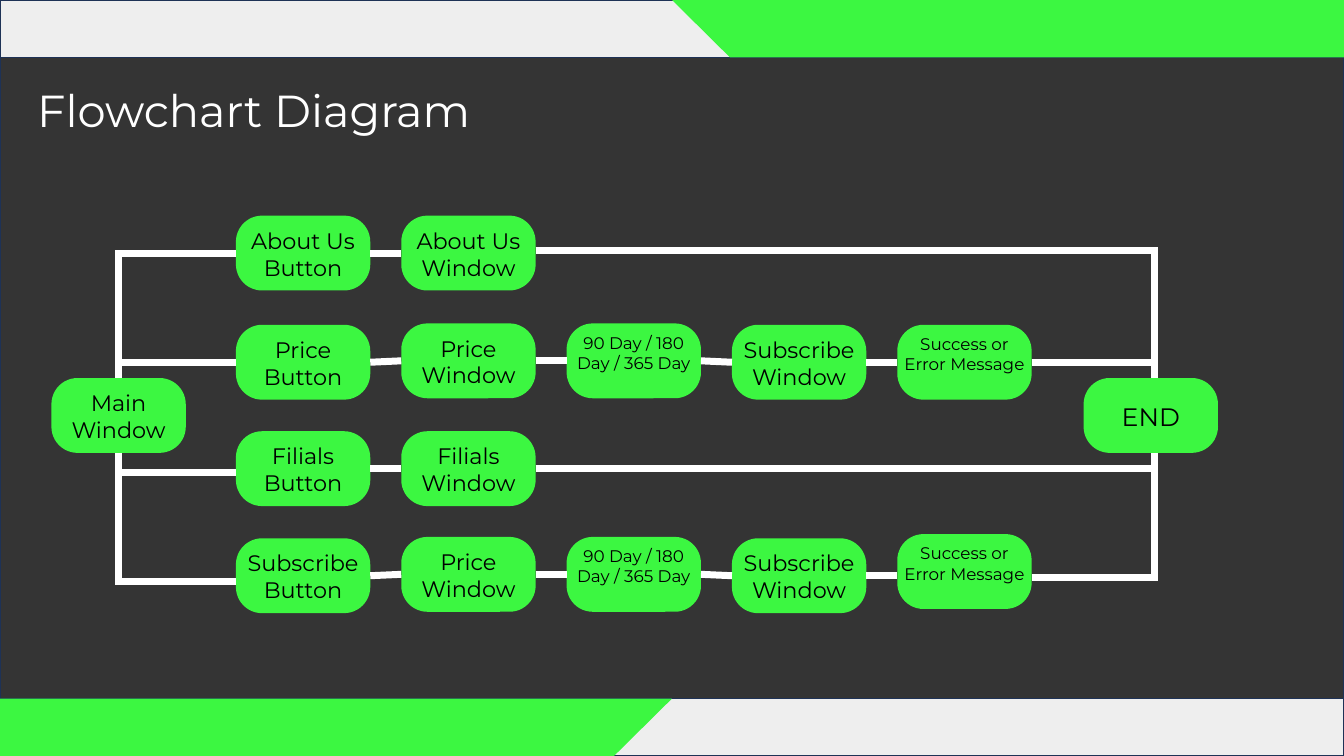
"""Build the flowchart slide of the subscription app."""
from dataclasses import dataclass
from itertools import pairwise

from lxml.etree import SubElement
from pptx import Presentation
from pptx.dml.color import RGBColor
from pptx.enum.shapes import MSO_CONNECTOR as Connector, MSO_SHAPE as Preset
from pptx.enum.text import MSO_ANCHOR as Anchor, PP_ALIGN as Align
from pptx.oxml.ns import qn
from pptx.shapes.autoshape import Shape
from pptx.shapes.base import BaseShape
from pptx.shapes.shapetree import SlideShapes
from pptx.text.text import _Paragraph as Paragraph
from pptx.util import Pt

GREEN, DARK, PALE = "3CF741", "343434", "EEEEEE"
WHITE, BLACK, NAVY = "FFFFFF", "000000", "1E3256"
FONT = "Montserrat"
SLIDE_W, SLIDE_H, BAND_H = 960, 540, 41
STEP_W, STEP_H = 96, 53.5
FIRST_COLUMN, COLUMN_PITCH = 168.5, 118.1
LINK_W, SNAP = 5, 1.5
TOP, LEFT, BOTTOM, RIGHT = range(4)


@dataclass(frozen=True)
class Step:
    lines: tuple[str, ...]
    top: float
    size: float = 16
    anchor: Anchor = Anchor.MIDDLE


@dataclass(frozen=True)
class Branch:
    entry_y: float
    exit_y: float
    steps: tuple[Step, ...]


@dataclass(frozen=True)
class Placed:
    shape: Shape
    left: float
    top: float

    @property
    def middle(self) -> float:
        return self.top + STEP_H / 2

    @property
    def center(self) -> float:
        return self.left + STEP_W / 2


def periods(top: float) -> Step:
    return Step(("90 Day / 180", "Day / 365 Day"), top, 12, Anchor.TOP)


def message(top: float) -> Step:
    return Step(("Success or", "Error Message"), top, 12, Anchor.TOP)


BRANCHES = (
    Branch(180, 178.6, (
        Step(("About Us", "Button"), 154), Step(("About Us", "Window"), 154))),
    Branch(257.8, 258.8, (
        Step(("Price", "Button"), 232), Step(("Price", "Window"), 231), periods(231),
        Step(("Subscribe", "Window"), 232), message(232))),
    Branch(337.7, 335.5, (
        Step(("Filials", "Button"), 308), Step(("Filials", "Window"), 308))),
    Branch(415.4, 412.2, (
        Step(("Subscribe", "Button"), 384.5), Step(("Price", "Window"), 383.5),
        periods(383.5), Step(("Subscribe", "Window"), 384.5), message(381.5))),
)


def color(code: str) -> RGBColor:
    return RGBColor.from_string(code)


def add_run(paragraph: Paragraph, text: str, size: float, code: str) -> None:
    run = paragraph.add_run()
    run.text = text
    run.font.name = FONT
    run.font.size = Pt(size)
    run.font.color.rgb = color(code)


def add_block(shapes: SlideShapes, preset: Preset, left: float, top: float,
              width: float, height: float, fill: str, outline: str = "") -> Shape:
    block = shapes.add_shape(preset, Pt(left), Pt(top), Pt(width), Pt(height))
    block.shadow.inherit = False
    block.fill.solid()
    block.fill.fore_color.rgb = color(fill)
    if outline:
        block.line.color.rgb = color(outline)
        block.line.width = Pt(1)
    else:
        block.line.fill.background()
    return block


def add_step(shapes: SlideShapes, step: Step, left: float) -> Placed:
    box = add_block(shapes, Preset.ROUNDED_RECTANGLE, left, step.top, STEP_W, STEP_H, GREEN)
    box.adjustments[0] = 0.35
    frame = box.text_frame
    frame.word_wrap = False
    frame.vertical_anchor = step.anchor
    frame.margin_left = frame.margin_right = frame.margin_bottom = 0
    frame.margin_top = Pt(1)
    for index, text in enumerate(step.lines):
        paragraph = frame.add_paragraph() if index else frame.paragraphs[0]
        paragraph.alignment = Align.CENTER
        add_run(paragraph, text, step.size, BLACK)
    return Placed(box, left, step.top)


def add_link(shapes: SlideShapes, x1: float, y1: float, x2: float, y2: float,
             start: tuple[BaseShape, int] | None = None,
             end: tuple[BaseShape, int] | None = None) -> None:
    link = shapes.add_connector(Connector.STRAIGHT, Pt(x1), Pt(y1), Pt(x2), Pt(y2))
    link.line.color.rgb = color(WHITE)
    link.line.width = Pt(LINK_W)
    SubElement(link.element.spPr, qn("a:effectLst"))
    if start:
        link.begin_connect(*start)
    if end:
        link.end_connect(*end)


def is_near(first: float, second: float) -> bool:
    return abs(first - second) < SNAP


def add_branch(shapes: SlideShapes, branch: Branch, main_x: float, end_x: float) -> None:
    row = [add_step(shapes, step, FIRST_COLUMN + column * COLUMN_PITCH)
           for column, step in enumerate(branch.steps)]
    for before, after in pairwise(row):
        level = is_near(before.middle, after.middle)
        add_link(shapes, before.left + STEP_W, before.middle, after.left, before.middle,
                 (before.shape, RIGHT), (after.shape, LEFT) if level else None)
    first, last = row[0], row[-1]
    joins = is_near(branch.entry_y, first.middle)
    y = first.middle if joins else branch.entry_y
    add_link(shapes, main_x - LINK_W / 2, y, first.left, y,
             end=(first.shape, LEFT) if joins else None)
    joins = is_near(branch.exit_y, last.middle)
    y = last.middle if joins else branch.exit_y
    add_link(shapes, last.left + STEP_W, y, end_x + LINK_W / 2, y,
             start=(last.shape, RIGHT) if joins else None)


def add_trunk(shapes: SlideShapes, stop: Placed, x: float, upper: float, lower: float) -> None:
    joins = is_near(x, stop.center)
    add_link(shapes, x, upper, x, stop.top, end=(stop.shape, TOP) if joins else None)
    add_link(shapes, x, stop.top + STEP_H, x, lower,
             start=(stop.shape, BOTTOM) if joins else None)


def add_backdrop(shapes: SlideShapes) -> None:
    for top, height, fill in ((0, SLIDE_H, DARK), (0, BAND_H, PALE),
                              (SLIDE_H - BAND_H, BAND_H, PALE)):
        add_block(shapes, Preset.RECTANGLE, 0, top, SLIDE_W, height, fill, NAVY)
    for left, top, flipped in ((480, 0, True), (-46.5, SLIDE_H - BAND_H, False)):
        accent = add_block(shapes, Preset.PARALLELOGRAM, left, top, 526.5, BAND_H, GREEN)
        accent.adjustments[0] = 1.01
        if flipped:
            accent.element.spPr.find(qn("a:xfrm")).set("flipV", "1")


def main() -> None:
    deck = Presentation()
    deck.slide_width, deck.slide_height = Pt(SLIDE_W), Pt(SLIDE_H)
    shapes = deck.slides.add_slide(deck.slide_layouts[6]).shapes
    add_backdrop(shapes)
    title = shapes.add_textbox(Pt(19.5), Pt(55.5), Pt(366.5), Pt(46))
    title.text_frame.word_wrap = True
    add_run(title.text_frame.paragraphs[0], "Flowchart Diagram", 32, WHITE)

    main_window = add_step(shapes, Step(("Main", "Window"), 270), 36.7)
    finish = add_step(shapes, Step(("END",), 270, 18), 774)
    main_x, end_x = main_window.center, 824.4
    for branch in BRANCHES:
        add_branch(shapes, branch, main_x, end_x)
    add_trunk(shapes, main_window, main_x, BRANCHES[0].entry_y, BRANCHES[-1].entry_y)
    add_trunk(shapes, finish, end_x, BRANCHES[0].exit_y, BRANCHES[-1].exit_y)
    deck.save("out.pptx")


if __name__ == "__main__":
    main()
